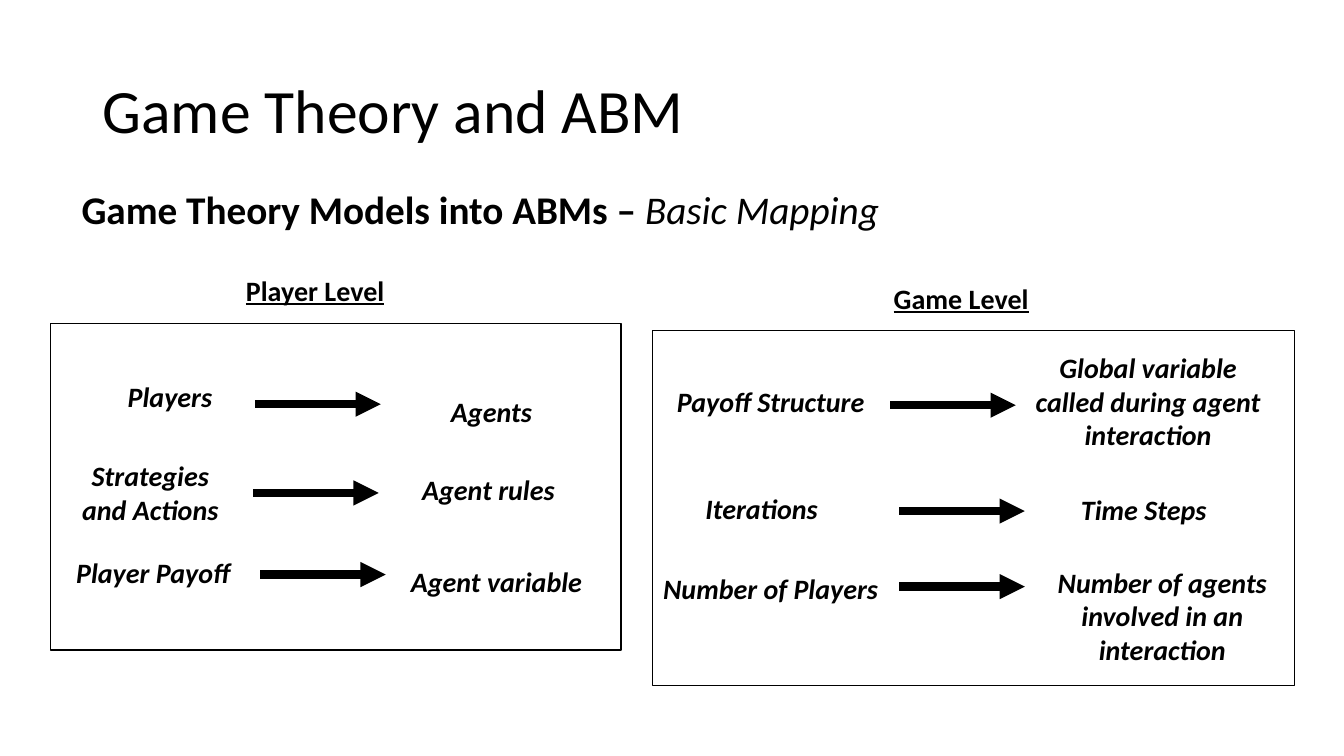
from dataclasses import dataclass

from lxml.etree import SubElement
from pptx import Presentation
from pptx.dml.color import RGBColor
from pptx.enum.shapes import MSO_CONNECTOR as Connector, MSO_SHAPE as Shape
from pptx.enum.text import MSO_ANCHOR as Anchor, PP_ALIGN as Align
from pptx.oxml.ns import qn
from pptx.util import Inches, Pt

BLACK = RGBColor(0, 0, 0)
FONT = "Calibri"
WIDTH, HEIGHT = Inches(13.33), Inches(7.5)
COLUMN, ROW = WIDTH / 100, HEIGHT / 100
LABEL_COLUMNS = 19.13
LINE_ROWS, PADDING_ROWS = 4.45, 1.4
ARROW_COLUMNS = 9.35


@dataclass(frozen=True)
class Area:
    left: float
    top: float
    width: float
    height: float

    def emu(self) -> tuple[int, int, int, int]:
        return (round(self.left * COLUMN), round(self.top * ROW),
                round(self.width * COLUMN), round(self.height * ROW))


@dataclass(frozen=True)
class Label:
    text: str
    left: float
    top: float
    width: float = LABEL_COLUMNS
    lines: int = 1

    def area(self) -> Area:
        return Area(self.left, self.top, self.width,
                    self.lines * LINE_ROWS + PADDING_ROWS)


@dataclass(frozen=True)
class Mapping:
    concept: Label
    arrow_left: float
    arrow_row: float
    counterpart: Label


@dataclass(frozen=True)
class Level:
    heading: Label
    frame: Area
    mappings: tuple[Mapping, ...]


LEVELS = (
    Level(Label("Player Level", 13.88, 35.47), Area(3.75, 42.8, 42.45, 43.2), (
        Mapping(Label("Players", 3.08, 49.6), 18.98, 53.47,
                Label("Agents", 27, 51.47)),
        Mapping(Label("Strategies and Actions ", 5.18, 60, 12, 2), 18.83, 65.2,
                Label("Agent rules", 26.78, 61.87)),
        Mapping(Label("Player Payoff ", 2.78, 72.8, 17.7), 19.35, 76,
                Label("Agent variable", 27.38, 74)),
    )),
    Level(Label("Game Level", 61.95, 36.53), Area(48.53, 43.73, 47.78, 46.93), (
        Mapping(Label("Payoff Structure", 47.78, 50.27), 66.23, 53.6,
                Label("Global variable called during agent interaction",
                      76.2, 45.73, 18.45, 3)),
        Mapping(Label("Iterations", 47.1, 64.4), 66.9, 67.6,
                Label("Time Steps", 75.53, 64.53)),
        Mapping(Label("Number of Players", 47.78, 74.93), 66.9, 77.6,
                Label("Number of agents involved in an interaction",
                      75.53, 74.13, 21.9, 3)),
    )),
)


def add_text(page, area: Area, text: str, size: int, anchor=Anchor.TOP):
    box = page.shapes.add_textbox(*area.emu())
    box.text_frame.word_wrap = True
    box.text_frame.vertical_anchor = anchor
    para = box.text_frame.paragraphs[0]
    para.add_run().text = text
    para.font.name, para.font.size = FONT, Pt(size)
    para.font.color.rgb = BLACK
    return para


def add_label(page, label: Label, heading: bool = False) -> None:
    para = add_text(page, label.area(), label.text, 20)
    para.alignment = Align.CENTER
    para.font.bold = True
    para.font.italic = not heading
    para.font.underline = heading


def add_arrow(page, left: float, row: float) -> None:
    start, end, height = (round(left * COLUMN),
                          round((left + ARROW_COLUMNS) * COLUMN), round(row * ROW))
    arrow = page.shapes.add_connector(Connector.STRAIGHT, start, height, end, height)
    arrow.line.color.rgb = BLACK
    arrow.line.width = Pt(6)
    SubElement(arrow.line._get_or_add_ln(), qn("a:tailEnd"), type="triangle")
    SubElement(arrow._element.spPr, qn("a:effectLst"))


def add_frame(page, area: Area) -> None:
    frame = page.shapes.add_shape(Shape.RECTANGLE, *area.emu())
    frame.shadow.inherit = False
    frame.fill.background()
    frame.line.color.rgb = BLACK
    frame.line.width = Pt(1)


def add_level(page, level: Level) -> None:
    add_label(page, level.heading, heading=True)
    for mapping in level.mappings:
        add_label(page, mapping.concept)
        add_arrow(page, mapping.arrow_left, mapping.arrow_row)
        add_label(page, mapping.counterpart)
    add_frame(page, level.frame)


def main() -> None:
    deck = Presentation()
    deck.slide_width, deck.slide_height = WIDTH, HEIGHT
    page = deck.slides.add_slide(deck.slide_layouts[6])
    title = add_text(page, Area(6.9, 5.33, 86.25, 19.33), "Game Theory and ABM",
                     44, Anchor.MIDDLE)
    title.line_spacing = 0.9
    subtitle = add_text(page, Area(5.33, 23.87, 87.1, 20.13),
                        "Game Theory Models into ABMs – ", 28)
    subtitle.runs[0].font.bold = True
    span = subtitle.add_run()
    span.text = "Basic Mapping"
    span.font.italic = True
    for level in LEVELS:
        add_level(page, level)
    deck.save("out.pptx")


main()
